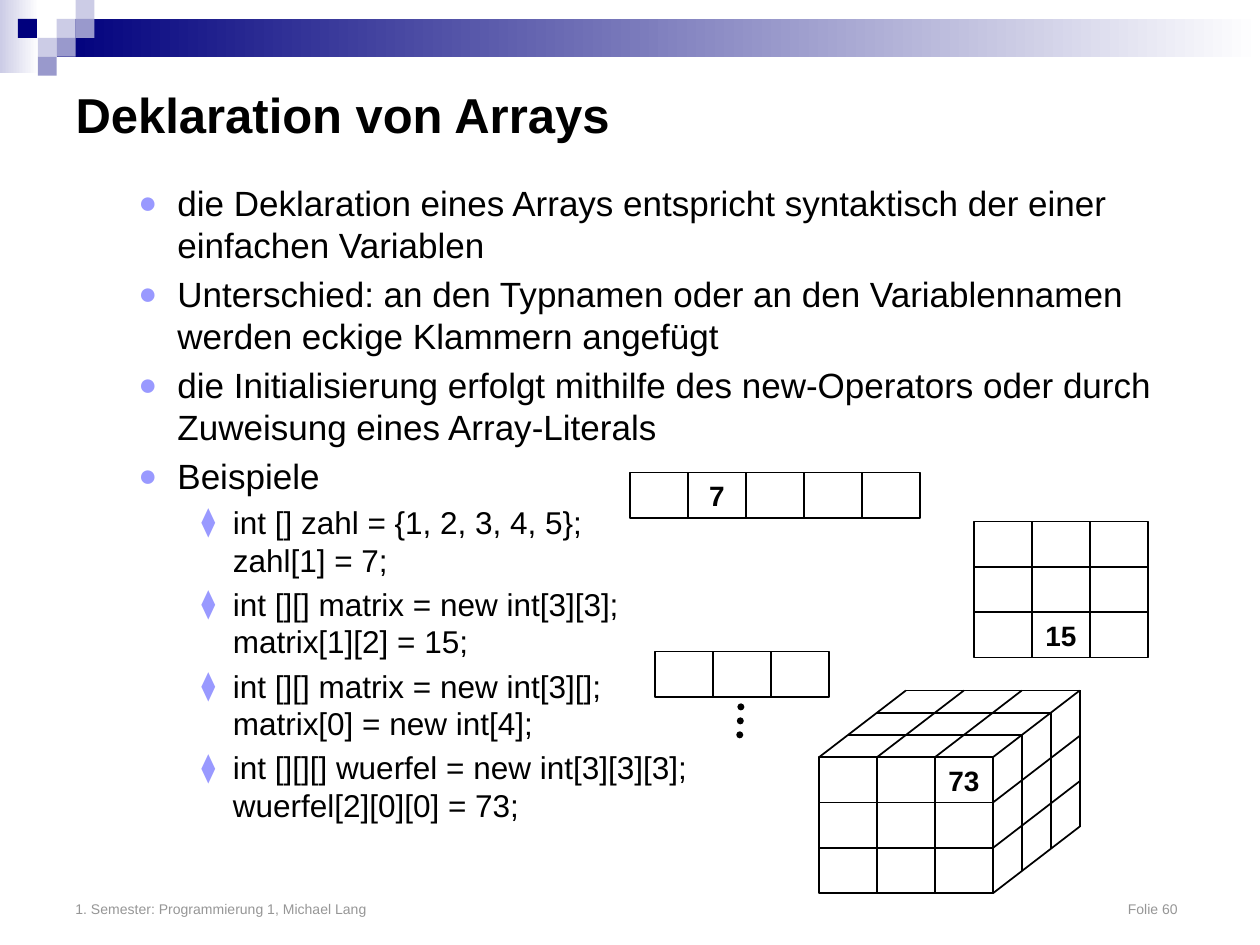
from lxml import etree
from pptx import Presentation
from pptx.dml.color import RGBColor
from pptx.enum.dml import MSO_LINE
from pptx.enum.shapes import MSO_CONNECTOR, MSO_SHAPE
from pptx.enum.text import MSO_ANCHOR, MSO_AUTO_SIZE, PP_ALIGN
from pptx.oxml.ns import qn
from pptx.util import Inches, Pt

RECT, STRAIGHT = MSO_SHAPE.RECTANGLE, MSO_CONNECTOR.STRAIGHT
TOP, MIDDLE, BOTTOM = MSO_ANCHOR.TOP, MSO_ANCHOR.MIDDLE, MSO_ANCHOR.BOTTOM
LEFT, CENTER = PP_ALIGN.LEFT, PP_ALIGN.CENTER
GROW = MSO_AUTO_SIZE.SHAPE_TO_FIT_TEXT


class Theme:
    font = "Arial"
    black, white, grey = "000000", "FFFFFF", "969696"
    navy, mid, pale, bullet = "00007D", "9999CC", "CCCCE6", "9999FF"
    title, label, footer = 28, 16, 8
    levels = {  # text size, left margin, hanging indent, bullet
        1: (20, 0.81, 0.31, "●"),
        2: (18, 1.25, 0.25, "⧫"),
    }


# Content
TITLE = "Deklaration von Arrays"
FOOTER = "1. Semester: Programmierung 1, Michael Lang\tFolie 60"
BODY = [
    (1, "die Deklaration eines Arrays entspricht syntaktisch der einer einfachen Variablen"),
    (1, "Unterschied: an den Typnamen oder an den Variablennamen werden eckige Klammern angefügt"),
    (1, "die Initialisierung erfolgt mithilfe des new-Operators oder durch Zuweisung eines Array-Literals"),
    (1, "Beispiele"),
    (2, "int [] zahl = {1, 2, 3, 4, 5};\nzahl[1] = 7;"),
    (2, "int [][] matrix = new int[3][3];\nmatrix[1][2] = 15;"),
    (2, "int [][] matrix = new int[3][];\nmatrix[0] = new int[4];"),
    (2, "int [][][] wuerfel = new int[3][3][3];\nwuerfel[2][0][0] = 73;"),
]
GRIDS = [  # left, top, columns, rows, (column, row, value)
    (5, 3.75, 5, 1, (1, 0, "7")),
    (7.73, 4.14, 3, 3, (1, 2, "15")),
    (6.5, 6.01, 3, 3, (2, 0, "73")),
    (5.2, 5.17, 3, 1, None),
]
CELL_W, CELL_H = 0.46, 0.36
CUBE_X, CUBE_Y, CUBE_N = 6.5, 6.01, 3
DEPTH_X, DEPTH_Y = 0.69, -0.53
BANDS = [  # left, top, width, height, start colour
    (0, 0, 0.31, 0.58, Theme.pale),
    (0.45, 0.15, 9.55, 0.3, Theme.navy),
]
TILE = 0.15
TILES = [  # column, row, colour
    (3, 1, Theme.pale), (4, 0, Theme.pale), (4, 1, Theme.mid),
    (2, 2, Theme.pale), (0.95, 1, Theme.navy), (3, 2, Theme.mid),
    (2, 3, Theme.mid),
]

prs = Presentation()
prs.slide_width, prs.slide_height = Inches(10), Inches(7.5)
slide = prs.slides.add_slide(prs.slide_layouts[5])
shapes = slide.shapes


def rgb(value):
    return RGBColor.from_string(value)


def box(*at):
    return [Inches(v) for v in at]


def add_rect(x, y, w, h, fill=None, line=None):
    sp = shapes.add_shape(RECT, *box(x, y, w, h))
    sp.shadow.inherit = False
    if fill:
        sp.fill.solid()
        sp.fill.fore_color.rgb = rgb(fill)
    else:
        sp.fill.background()
    if line:
        sp.line.color.rgb, sp.line.width = rgb(line), Pt(1)
    else:
        sp.line.fill.background()
    return sp


def add_line(x1, y1, x2, y2, width=1):
    cx = shapes.add_connector(STRAIGHT, *box(x1, y1, x2, y2))
    cx.line.color.rgb, cx.line.width = rgb(Theme.black), Pt(width)
    etree.SubElement(cx._element.spPr, qn("a:effectLst"))
    return cx


def setup_frame(sp, **formats):
    tf = sp.text_frame
    for name, value in {"word_wrap": True, **formats}.items():
        setattr(tf, name, value)
    return tf


def write(p, text, size, color=Theme.black, bold=False, align=LEFT):
    p.text, p.alignment = text, align
    formats = {"name": Theme.font, "size": Pt(size), "bold": bold}
    for font in [p.font] + [r.font for r in p.runs]:
        for name, value in formats.items():
            setattr(font, name, value)
        font.color.rgb = rgb(color)


def add_bullet(p, margin, hang, char):
    pPr = p._p.get_or_add_pPr()
    pPr.set("marL", str(Inches(margin)))
    pPr.set("indent", str(-Inches(hang)))
    clr = etree.Element(qn("a:buClr"))
    etree.SubElement(clr, qn("a:srgbClr"), val=Theme.bullet)
    marks = [clr] + [etree.Element(qn(tag), **attrs) for tag, attrs in (
        ("a:buSzPct", {"val": "90000"}),
        ("a:buFont", {"typeface": Theme.font}),
        ("a:buChar", {"char": char}),
    )]
    at = list(pPr).index(pPr.find(qn("a:spcBef"))) + 1
    pPr[at:at] = marks


# Header decoration
for x, y, w, h, color in BANDS:
    fill = add_rect(x, y, w, h).fill
    fill.gradient()
    fill.gradient_angle = 0
    for stop, value in zip(fill.gradient_stops, (color, Theme.white)):
        stop.color.rgb = rgb(value)
for col, row, color in TILES:
    add_rect(col * TILE, row * TILE, TILE, TILE, fill=color)

# Footer with the page number on a right tab
tf = setup_frame(shapes.add_textbox(*box(0.5, 6.83, 9, 0.5)), vertical_anchor=BOTTOM)
p = tf.paragraphs[0]
write(p, FOOTER, Theme.footer, Theme.grey)
pPr = p._p.get_or_add_pPr()
tabs = etree.Element(qn("a:tabLst"))
etree.SubElement(tabs, qn("a:tab"), pos=str(Inches(8.75)), algn="r")
pPr.insert(0, tabs)

# Title
sp = shapes.title
sp.left, sp.top, sp.width, sp.height = box(0.5, 0.5, 9, 0.81)
tf = setup_frame(sp, vertical_anchor=MIDDLE)
write(tf.paragraphs[0], TITLE, Theme.title, bold=True)

# Bulleted text
tf = setup_frame(shapes.add_textbox(*box(0.5, 1.39, 9, 5.45)), vertical_anchor=TOP)
for i, (level, text) in enumerate(BODY):
    p = tf.add_paragraph() if i else tf.paragraphs[0]
    size, margin, hang, char = Theme.levels[level]
    write(p, text, size)
    p.level, p.space_before = level, Pt(0.2 * size)
    add_bullet(p, margin, hang, char)

# Array grids and their values
for left, top, cols, rows, entry in GRIDS:
    for row in range(rows):
        for col in range(cols):
            add_rect(left + col * CELL_W, top + row * CELL_H, CELL_W, CELL_H, line=Theme.black)
    if entry:
        col, row, value = entry
        w = 0.2 + 0.13 * len(value)  # side insets plus digits
        x = left + (col + 0.5) * CELL_W - w / 2
        sp = shapes.add_textbox(*box(x, top + row * CELL_H, w, 0.37))
        tf = setup_frame(sp, word_wrap=False, auto_size=GROW)
        write(tf.paragraphs[0], value, Theme.label, bold=True, align=CENTER)

# Cube: edges running back, then the layers on the top and right faces
side_w, side_h = CUBE_N * CELL_W, CUBE_N * CELL_H
right = CUBE_X + side_w
starts = [(CUBE_X + i * CELL_W, CUBE_Y) for i in range(CUBE_N + 1)]
starts += [(right, CUBE_Y + i * CELL_H) for i in range(1, CUBE_N + 1)]
for x, y in starts:
    add_line(x, y, x + DEPTH_X, y + DEPTH_Y)
for layer in range(1, CUBE_N + 1):
    dx, y = DEPTH_X * layer / CUBE_N, CUBE_Y + DEPTH_Y * layer / CUBE_N
    add_line(CUBE_X + dx, y, right + dx, y)
    add_line(right + dx, y, right + dx, y + side_h)

# Dots below the open row
dots = add_line(5.88, 5.61, 5.87, 5.87, width=4)
dots.line.dash_style = MSO_LINE.ROUND_DOT
dots.line._get_or_add_ln().set("cap", "rnd")

prs.save("out.pptx")
